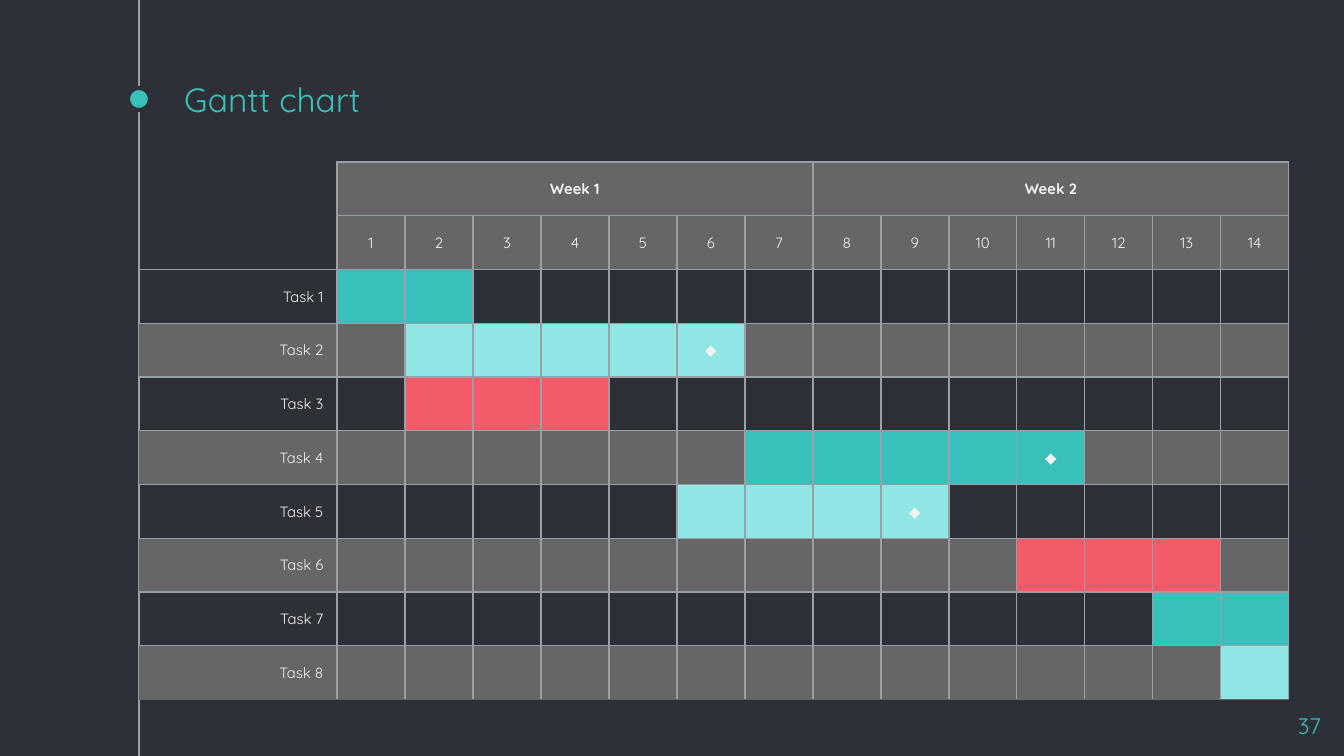
from lxml import etree
from pptx import Presentation
from pptx.dml.color import RGBColor
from pptx.enum.shapes import MSO_CONNECTOR, MSO_SHAPE
from pptx.enum.text import MSO_ANCHOR, MSO_AUTO_SIZE, PP_ALIGN
from pptx.oxml.ns import qn
from pptx.util import Emu, Pt

PX_PER_INCH = 134.4
FONT = "Quicksand"
DARK = RGBColor(0x2E, 0x30, 0x37)
GRAY = RGBColor(0x66, 0x66, 0x66)
LINE_GRAY = RGBColor(0x99, 0x9F, 0xA9)
OFF_WHITE = RGBColor(0xF3, 0xF3, 0xF3)
TEAL = RGBColor(0x39, 0xC0, 0xBA)
AQUA = RGBColor(0x90, 0xE6, 0xE2)
RED = RGBColor(0xF3, 0x5B, 0x69)

DAYS_PER_WEEK = 7
DAYS = 14
HEADER_ROWS = 2
LABEL_WIDTH, DAY_WIDTH, TABLE_HEIGHT = 198, 68, 538

# First day, last day, bar colour, milestone day
TASKS = [
    (1, 2, TEAL, None),
    (2, 6, AQUA, 6),
    (2, 4, RED, None),
    (7, 11, TEAL, 11),
    (6, 9, AQUA, 9),
    (11, 13, RED, None),
    (13, 14, TEAL, None),
    (14, 14, AQUA, None),
]


def px(length):
    return Emu(round(length * 914400 / PX_PER_INCH))


def write(text_frame, text, size, color, align, bold=False):
    paragraph = text_frame.paragraphs[0]
    paragraph.alignment = align
    run = paragraph.add_run()
    run.text = text
    run.font.name = FONT
    run.font.size = Pt(size)
    run.font.bold = bold
    run.font.color.rgb = color


def set_insets(text_frame, inset):
    text_frame.margin_left = text_frame.margin_right = px(inset)
    text_frame.margin_top = text_frame.margin_bottom = px(inset)
    text_frame.word_wrap = True
    text_frame.auto_size = MSO_AUTO_SIZE.NONE


def add_timeline(slide):
    line = slide.shapes.add_connector(
        MSO_CONNECTOR.STRAIGHT, px(139), px(0), px(139), px(756))
    line.line.color.rgb = LINE_GRAY
    line.line.width = Pt(0.75)
    etree.SubElement(line._element.spPr, qn("a:effectLst"))

    dot = slide.shapes.add_shape(MSO_SHAPE.OVAL, px(128), px(88), px(22), px(22))
    dot.shadow.inherit = False
    dot.fill.solid()
    dot.fill.fore_color.rgb = TEAL
    dot.line.color.rgb = DARK
    dot.line.width = Pt(2.25)


def add_title(slide, text):
    title = slide.shapes.title
    title.left, title.top, title.width, title.height = px(171), px(81), px(1008), px(51)
    set_insets(title.text_frame, 13)
    title.text_frame.vertical_anchor = MSO_ANCHOR.BOTTOM
    write(title.text_frame, text, 18, TEAL, PP_ALIGN.LEFT)


def add_slide_number(slide, text):
    box = slide.shapes.add_textbox(px(1253), px(699), px(81), px(46))
    set_insets(box.text_frame, 13)
    write(box.text_frame, text, 12, TEAL, PP_ALIGN.RIGHT)


def set_borders(cell, left, right, top, bottom):
    """Draw each side in its colour; None leaves the side open."""
    properties = cell._tc.get_or_add_tcPr()
    sides = zip(("lnL", "lnR", "lnT", "lnB"), (left, right, top, bottom))
    for position, (tag, color) in enumerate(sides):
        border = etree.Element(qn(f"a:{tag}"), w=str(Pt(0.75)))
        if color is None:
            etree.SubElement(border, qn("a:noFill"))
        else:
            fill = etree.SubElement(border, qn("a:solidFill"))
            etree.SubElement(fill, qn("a:srgbClr"), val=str(color))
        properties.insert(position, border)


def style_cell(cell, fill, text="", align=PP_ALIGN.CENTER, bold=False):
    cell.vertical_anchor = MSO_ANCHOR.MIDDLE
    if fill is None:
        cell.fill.background()
    else:
        cell.fill.solid()
        cell.fill.fore_color.rgb = fill
    if text:
        write(cell.text_frame, text, 8, OFF_WHITE, align, bold)
    else:
        cell.margin_top = cell.margin_bottom = 0


def fill_header(table):
    for row in range(HEADER_ROWS):
        style_cell(table.cell(row, 0), None)
    for week in range(DAYS // DAYS_PER_WEEK):
        first = 1 + week * DAYS_PER_WEEK
        cell = table.cell(0, first)
        cell.merge(table.cell(0, first + DAYS_PER_WEEK - 1))
        style_cell(cell, GRAY, f"Week {week + 1}", bold=True)
    for day in range(1, DAYS + 1):
        style_cell(table.cell(1, day), GRAY, str(day))


def fill_tasks(table):
    for index, (start, end, color, milestone) in enumerate(TASKS):
        row = HEADER_ROWS + index
        band = GRAY if index % 2 else None
        style_cell(table.cell(row, 0), band, f"Task {index + 1}", PP_ALIGN.RIGHT)
        for day in range(1, DAYS + 1):
            fill = color if start <= day <= end else band
            style_cell(table.cell(row, day), fill, "◆" if day == milestone else "")


def draw_grid(table, row_count):
    for row in range(row_count):
        for column in range(DAYS + 1):
            is_label = column == 0
            left = None if is_label else LINE_GRAY
            top = None if is_label and row < HEADER_ROWS else LINE_GRAY
            bottom = LINE_GRAY
            if is_label and row < HEADER_ROWS - 1:
                bottom = None
            elif row == row_count - 1:
                bottom = GRAY
            set_borders(table.cell(row, column), left, LINE_GRAY, top, bottom)


def add_gantt(slide):
    row_count = HEADER_ROWS + len(TASKS)
    width = LABEL_WIDTH + DAYS * DAY_WIDTH
    table = slide.shapes.add_table(
        row_count, DAYS + 1, px(139), px(162), px(width), px(TABLE_HEIGHT)).table
    table.first_row = table.horz_banding = False
    for index, column in enumerate(table.columns):
        column.width = px(DAY_WIDTH if index else LABEL_WIDTH)
    for row in table.rows:
        row.height = px(TABLE_HEIGHT / row_count)
    fill_header(table)
    fill_tasks(table)
    draw_grid(table, row_count)


def main():
    presentation = Presentation()
    presentation.slide_width, presentation.slide_height = px(1344), px(756)
    slide = presentation.slides.add_slide(presentation.slide_layouts[5])
    slide.background.fill.solid()
    slide.background.fill.fore_color.rgb = DARK

    add_timeline(slide)
    add_title(slide, "Gantt chart")
    add_slide_number(slide, "37")
    add_gantt(slide)
    presentation.save("out.pptx")


if __name__ == "__main__":
    main()
